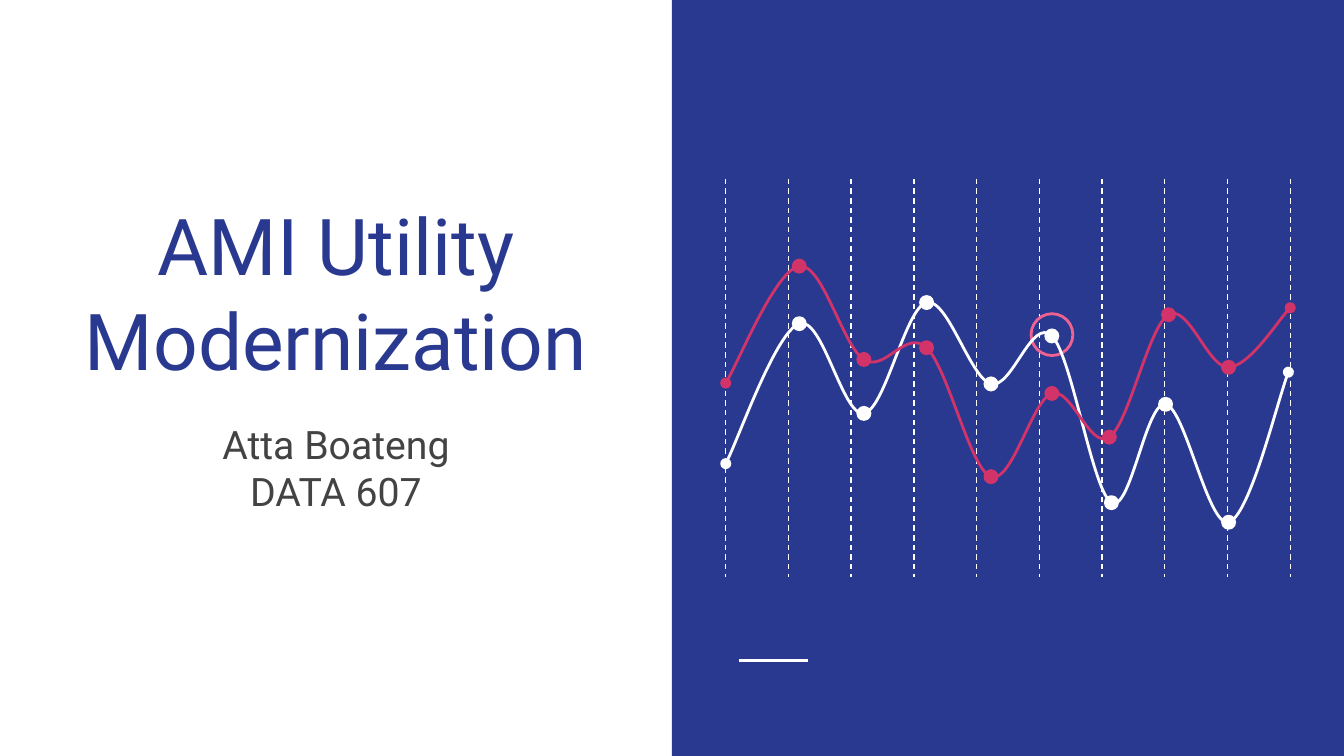
from lxml.etree import SubElement
from pptx import Presentation
from pptx.dml.color import RGBColor
from pptx.enum.dml import MSO_LINE
from pptx.enum.shapes import MSO_CONNECTOR, MSO_SHAPE
from pptx.enum.text import MSO_ANCHOR, PP_ALIGN
from pptx.oxml.ns import qn
from pptx.util import Pt

BLUE = RGBColor(0x2A, 0x39, 0x90)
WHITE = RGBColor(0xFF, 0xFF, 0xFF)
RED = RGBColor(0xD2, 0x33, 0x69)
PINK = RGBColor(0xF0, 0x62, 0x92)
GREY = RGBColor(0x43, 0x43, 0x43)

deck = Presentation()
deck.slide_width, deck.slide_height = Pt(720), Pt(405)
slide = deck.slides.add_slide(deck.slide_layouts[6])
shapes = slide.shapes


def add_rule(x1, y1, x2, y2, style):
    rule = shapes.add_connector(MSO_CONNECTOR.STRAIGHT, Pt(x1), Pt(y1), Pt(x2), Pt(y2))
    rule.line.color.rgb = WHITE
    for key, value in style.items():
        setattr(rule.line, key, value)
    SubElement(rule._element.spPr, qn("a:effectLst"))


def add_dot(x, y, size, fill, line):
    dot = shapes.add_shape(MSO_SHAPE.OVAL, Pt(x - size / 2), Pt(y - size / 2), Pt(size), Pt(size))
    dot.shadow.inherit = False
    if fill is None:
        dot.fill.background()
    else:
        dot.fill.solid()
        dot.fill.fore_color.rgb = fill
    dot.line.color.rgb = line
    dot.line.width = Pt(1.5)


# Right panel and its short rule
panel = shapes.add_shape(MSO_SHAPE.RECTANGLE, Pt(360), Pt(0), Pt(360), Pt(405))
panel.shadow.inherit = False
panel.fill.solid()
panel.fill.fore_color.rgb = BLUE
panel.line.fill.background()
add_rule(396, 354, 432.7, 354, {"width": Pt(1.5)})

# Dashed grid
for i in range(10):
    x = 388.8 + 33.6 * i
    add_rule(x, 95.8, x, 308.9, {"width": Pt(0.75), "dash_style": MSO_LINE.DASH})

# Ring round the peak
add_dot(563.6, 179.3, 22.4, None, PINK)

# Curves: each tangent is a sixth of the step between the neighbours
curves = [
    (WHITE, [(388.8, 248.4), (428.2, 173.4), (462.8, 221.5), (496.4, 162.1), (530.9, 205.7),
             (563.5, 180), (595.4, 269.3), (624.4, 216.6), (658.2, 279.8), (690.2, 199.4)]),
    (RED, [(388.8, 205.2), (428.2, 142.6), (462.8, 192.6), (496.4, 186.3), (530.9, 255.4),
           (563.5, 210.8), (594.3, 234.2), (626, 168.6), (658.2, 196.8), (691.2, 164.9)]),
]
for color, dots in curves:
    ends = [dots[0], *dots, dots[-1]]
    nodes = []
    for (ax, ay), (bx, by), (cx, cy), (dx, dy) in zip(ends, ends[1:], ends[2:], ends[3:]):
        nodes += [(bx + (cx - ax) / 6, by + (cy - ay) / 6),
                  (cx - (dx - bx) / 6, cy - (dy - by) / 6), (cx, cy)]
    pen = shapes.build_freeform(Pt(dots[0][0]), Pt(dots[0][1]))
    pen.add_line_segments([(Pt(x), Pt(y)) for x, y in nodes], close=False)
    curve = pen.convert_to_shape()
    curve.shadow.inherit = False
    curve.fill.background()
    curve.line.color.rgb = color
    curve.line.width = Pt(1.5)

    # Turn every three line steps into one Bezier step
    steps = list(curve._element.iter(qn("a:lnTo")))
    track = steps[0].getparent()
    for i in range(0, len(steps), 3):
        bend = SubElement(track, qn("a:cubicBezTo"))
        for step in steps[i:i + 3]:
            bend.append(step[0])
            track.remove(step)

    # Round ends and inner dots
    for tag in ("a:headEnd", "a:tailEnd"):
        SubElement(curve.line._get_or_add_ln(), qn(tag), type="oval")
    for x, y in dots[1:-1]:
        add_dot(x, y, 6.5, color, color)

# Title and subtitle
texts = [
    (90.7, 123.1, ["AMI Utility Modernization"], MSO_ANCHOR.BOTTOM, 42, BLUE),
    (218.2, 100.1, ["Atta Boateng", "DATA 607"], MSO_ANCHOR.TOP, 21, GREY),
]
for top, height, lines, anchor, size, color in texts:
    frame = shapes.add_textbox(Pt(20.9), Pt(top), Pt(318.2), Pt(height)).text_frame
    for key, value in {"word_wrap": True, "vertical_anchor": anchor,
                       "margin_left": Pt(7.2), "margin_right": Pt(7.2),
                       "margin_top": Pt(7.2), "margin_bottom": Pt(7.2)}.items():
        setattr(frame, key, value)
    frame.text = "\n".join(lines)
    for para in frame.paragraphs:
        para.alignment = PP_ALIGN.CENTER
        font = para.runs[0].font
        for key, value in {"name": "Roboto", "size": Pt(size)}.items():
            setattr(font, key, value)
        font.color.rgb = color

deck.save("out.pptx")
